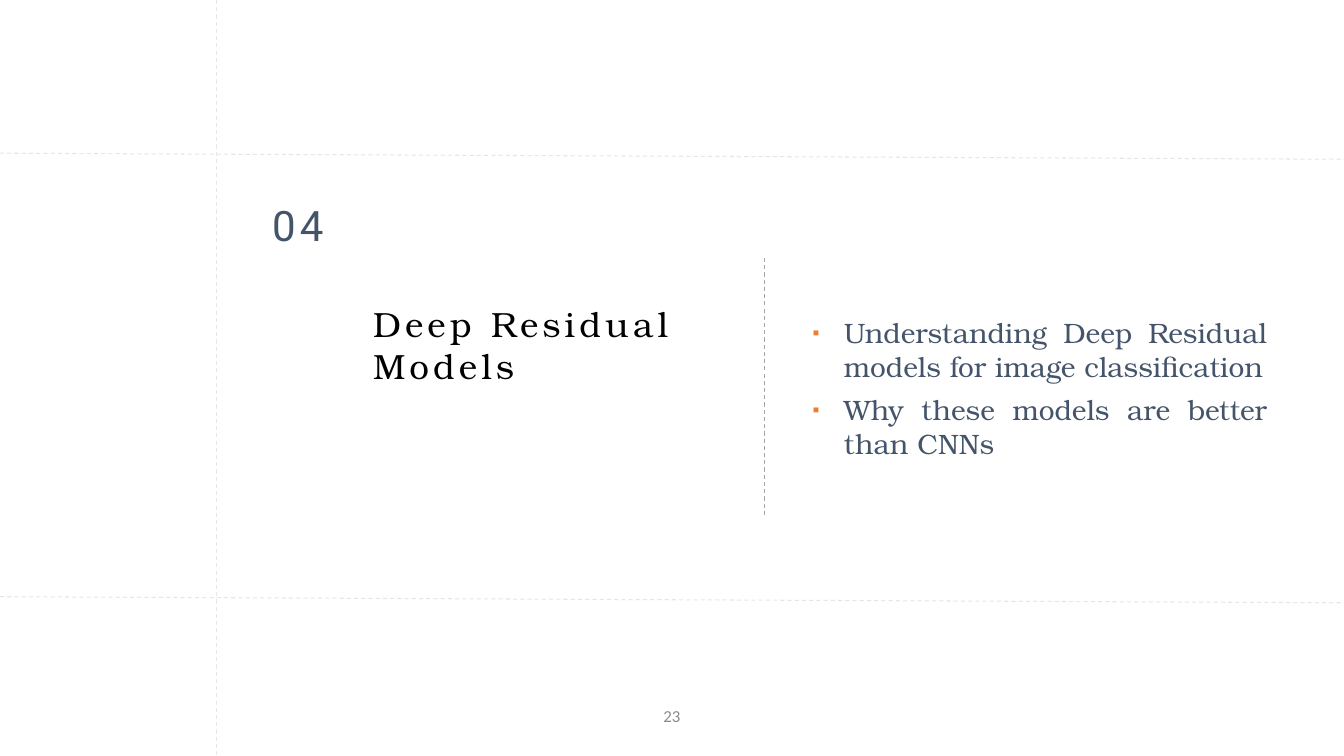
from dataclasses import dataclass

from lxml.etree import SubElement
from pptx import Presentation
from pptx.dml.color import RGBColor
from pptx.enum.dml import MSO_LINE
from pptx.enum.shapes import MSO_CONNECTOR, MSO_SHAPE
from pptx.enum.text import MSO_ANCHOR, MSO_AUTO_SIZE, PP_ALIGN
from pptx.oxml.ns import qn
from pptx.util import Inches, Pt

TITLE = "Deep Residual Models"
POINTS = [
    "Understanding Deep Residual models for image classification",
    "Why these models are better than CNNs",
]
NUMBER = "04"
PAGE = "23"

WIDE, HIGH = 13.33, 7.5
BOXES = {
    "panel": (2.38, 1.77, WIDE - 2.38, 3.96),
    "title": (3.65, 2.95, 3.48, 0.94),
    "points": (8.01, 3.07, 4.61, 1.55),
    "number": (2.65, 1.98, 0.8, 0.56),
    "page": ((WIDE - 3) / 2, 6.95, 3, 0.4),
}
GUIDES = [(2.15, 0, 2.15, HIGH)] + [(0, y, WIDE, y + 0.06) for y in (1.52, 5.92)]
DIVIDER = (7.58, 2.56, 7.58, 5.12)


@dataclass(frozen=True)
class Theme:
    serif: str = "TeX Gyre Bonum"
    sans: str = "Roboto"
    small: str = "Calibri"
    black: str = "000000"
    white: str = "FFFFFF"
    slate: str = "44546A"
    grey: str = "8C8C8C"
    guide: str = "E7E6E6"
    rule: str = "A5A5A5"
    accent: str = "ED7D31"
    title: int = 25
    body: int = 20
    number: int = 30
    page: int = 12


THEME = Theme()


def color(code):
    return RGBColor.from_string(code)


def inches(box):
    return [Inches(v) for v in box]


def dash(slide, ends, code):
    line = slide.shapes.add_connector(MSO_CONNECTOR.STRAIGHT, *inches(ends))
    line.line.color.rgb = color(code)
    line.line.width = Pt(0.75)
    line.line.dash_style = MSO_LINE.DASH
    SubElement(line._element.spPr, qn("a:effectLst"))


def place(shape, box, anchor, inset=0.05):
    """Move a text shape into its box and bring it to the front."""
    shape.left, shape.top, shape.width, shape.height = inches(box)
    tree = shape.element.getparent()
    tree.append(shape.element)
    frame = shape.text_frame
    frame.word_wrap = True
    frame.auto_size = MSO_AUTO_SIZE.NONE
    frame.vertical_anchor = anchor
    frame.margin_left = frame.margin_right = Inches(inset)
    frame.margin_top = frame.margin_bottom = Inches(0.05)
    return frame


def style(para, face, size, code, align=PP_ALIGN.LEFT, track=0):
    para.alignment = align
    para.space_before = Pt(0)
    para.font.name = face
    para.font.size = Pt(size)
    para.font.color.rgb = color(code)
    if track:
        for run in para.runs:
            run._r.get_or_add_rPr().set("spc", str(track * 100))


def bullet(para):
    props = para._p.get_or_add_pPr()
    props.set("marL", str(Inches(0.31)))
    props.set("indent", str(-Inches(0.31)))
    tint = SubElement(props, qn("a:buClr"))
    SubElement(tint, qn("a:srgbClr"), val=THEME.accent)
    SubElement(props, qn("a:buSzPct"), val="70000")
    SubElement(props, qn("a:buChar"), char="▪")


def main():
    deck = Presentation()
    deck.slide_width, deck.slide_height = inches((WIDE, HIGH))
    slide = deck.slides.add_slide(deck.slide_layouts[1])
    shapes = slide.shapes

    for ends in GUIDES:
        dash(slide, ends, THEME.guide)
    panel = shapes.add_shape(MSO_SHAPE.RECTANGLE, *inches(BOXES["panel"]))
    panel.shadow.inherit = False
    panel.fill.solid()
    panel.fill.fore_color.rgb = color(THEME.white)
    panel.line.color.rgb = color(THEME.white)
    panel.line.width = Pt(1)

    frame = place(shapes.title, BOXES["title"], MSO_ANCHOR.TOP)
    frame.text = TITLE
    style(frame.paragraphs[0], THEME.serif, THEME.title, THEME.black, track=3)

    frame = place(slide.placeholders[1], BOXES["points"], MSO_ANCHOR.MIDDLE)
    frame.text = "\n".join(POINTS)
    for para in frame.paragraphs:
        bullet(para)
        style(para, THEME.serif, THEME.body, THEME.slate, PP_ALIGN.JUSTIFY)
        para.space_after = Pt(7)

    dash(slide, DIVIDER, THEME.rule)

    box = shapes.add_textbox(*inches(BOXES["number"]))
    frame = place(box, BOXES["number"], MSO_ANCHOR.BOTTOM)
    frame.text = NUMBER
    para = frame.paragraphs[0]
    style(para, THEME.sans, THEME.number, THEME.slate, track=3)
    para.line_spacing = 0.9

    box = shapes.add_textbox(*inches(BOXES["page"]))
    frame = place(box, BOXES["page"], MSO_ANCHOR.TOP, 0.1)
    frame.text = PAGE
    style(frame.paragraphs[0], THEME.small, THEME.page, THEME.grey, PP_ALIGN.CENTER)

    deck.save("out.pptx")


if __name__ == "__main__":
    main()
